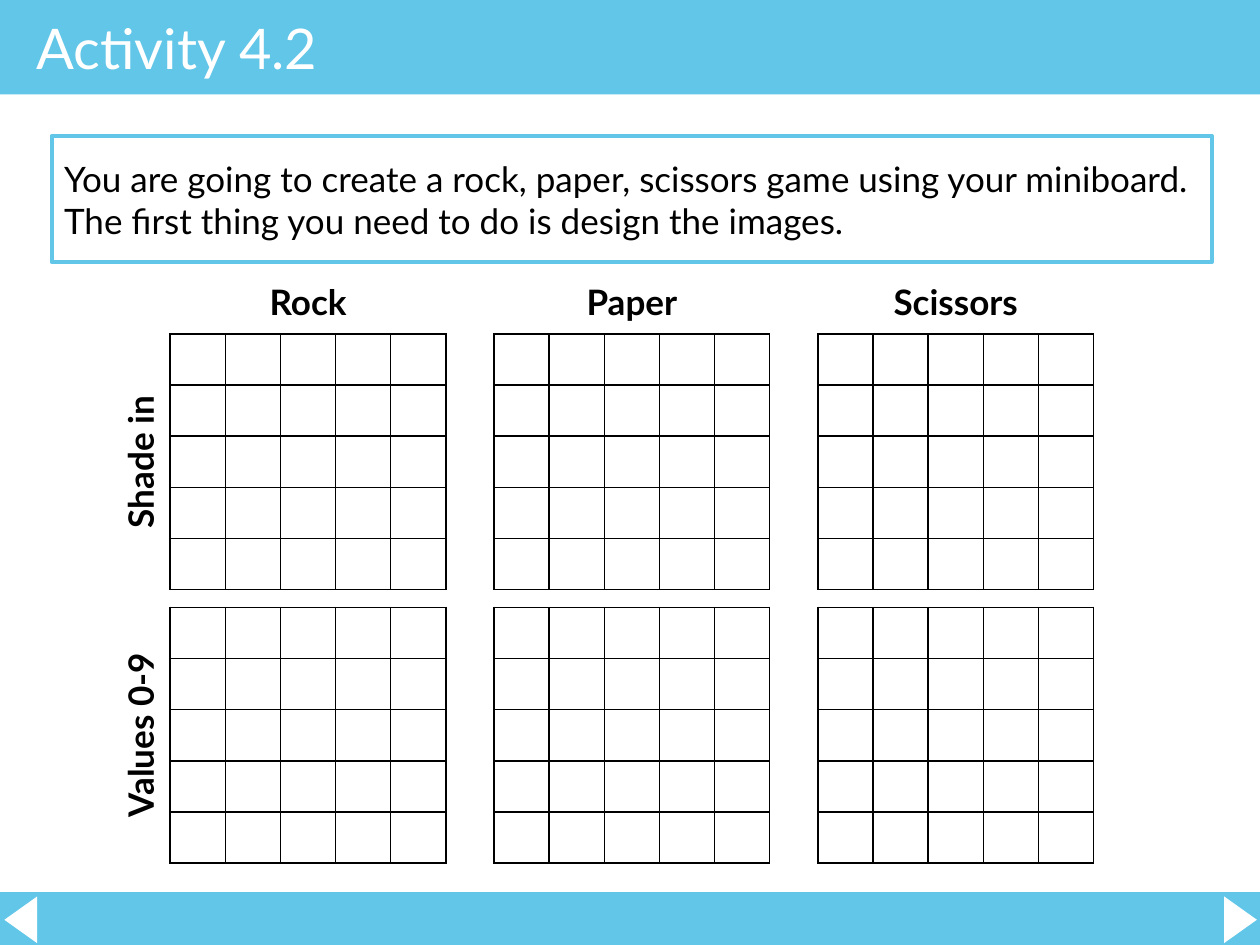
from lxml import etree
from pptx import Presentation
from pptx.dml.color import RGBColor
from pptx.enum.shapes import MSO_SHAPE
from pptx.enum.text import MSO_ANCHOR, PP_ALIGN
from pptx.oxml.ns import qn
from pptx.util import Inches, Pt

RECTANGLE, TRIANGLE = MSO_SHAPE.RECTANGLE, MSO_SHAPE.ISOSCELES_TRIANGLE
MIDDLE = MSO_ANCHOR.MIDDLE
LEFT, CENTER = PP_ALIGN.LEFT, PP_ALIGN.CENTER
BLUE = RGBColor(0x62, 0xC6, 0xE8)
WHITE = RGBColor(0xFF, 0xFF, 0xFF)
BLACK = RGBColor(0, 0, 0)
FONT = "Lato"

# Content
TITLE = "Activity 4.2"
TASK = ("You are going to create a rock, paper, scissors game using your "
        "miniboard. The first thing you need to do is design the images.")
IMAGES = ["Rock", "Paper", "Scissors"]
STEPS = ["Shade in", "Values 0-9"]

# Layout, in inches
GRID_SIZE = 5
GRID_LEFT, GRID_TOP = 1.35, 2.65
GRID_WIDTH, GRID_HEIGHT = 2.19, 2.03
COLUMN_PITCH, ROW_PITCH = 2.57, 2.17
HEADING_TOP, LABEL_HEIGHT = 2.16, 0.46
STEP_CENTER = 1.11


def write(shape, text, size, color=BLACK, bold=False, align=LEFT):
    frame = shape.text_frame
    frame.word_wrap = True
    frame.vertical_anchor = MIDDLE
    frame.text = text
    paragraph = frame.paragraphs[0]
    paragraph.alignment = align
    font = paragraph.runs[0].font
    font.name, font.size, font.bold = FONT, Pt(size), bold
    font.color.rgb = color


def add_block(slide, kind, box, fill=None, rotation=0):
    block = slide.shapes.add_shape(kind, *map(Inches, box))
    block.shadow.inherit = False
    block.rotation = rotation
    block.line.fill.background()
    if fill is None:
        block.fill.background()
    else:
        block.fill.solid()
        block.fill.fore_color.rgb = fill
    return block


def add_label(slide, text, box, rotation=0):
    label = slide.shapes.add_textbox(*map(Inches, box))
    label.rotation = rotation
    write(label, text, 20, bold=True, align=CENTER)


def add_borders(cell):
    properties = cell._tc.get_or_add_tcPr()
    for side in ("a:lnL", "a:lnR", "a:lnT", "a:lnB"):
        line = etree.SubElement(properties, qn(side), w=str(Pt(1)))
        fill = etree.SubElement(line, qn("a:solidFill"))
        etree.SubElement(fill, qn("a:srgbClr"), val=str(BLACK))


def add_grid(slide, left, top):
    table = slide.shapes.add_table(
        GRID_SIZE, GRID_SIZE, Inches(left), Inches(top),
        Inches(GRID_WIDTH), Inches(GRID_HEIGHT)).table
    table.first_row = table.horz_banding = False
    for cell in table.iter_cells():
        add_borders(cell)
        cell.fill.background()
        cell.text_frame.paragraphs[0].font.size = Pt(16)


def main():
    prs = Presentation()
    prs.slide_width, prs.slide_height = Inches(10), Inches(7.5)
    slide = prs.slides.add_slide(prs.slide_layouts[5])

    # Bands and navigation arrows
    add_block(slide, RECTANGLE, (0, 0, 10, 0.75), BLUE)
    add_block(slide, RECTANGLE, (0, 7.08, 10, 0.43), BLUE)
    add_block(slide, TRIANGLE, (9.66, 7.17, 0.37, 0.26), WHITE, 90)
    add_block(slide, TRIANGLE, (-0.02, 7.17, 0.37, 0.26), WHITE, 270)

    # Title, brought in front of its band
    title = slide.shapes.title
    title.left, title.top = Inches(0.19), Inches(0)
    title.width, title.height = Inches(9), Inches(0.75)
    slide.shapes._spTree.append(title._element)
    write(title, TITLE, 32, WHITE)

    # Task box
    task = add_block(slide, RECTANGLE, (0.41, 1.08, 9.21, 1))
    task.line.color.rgb = BLUE
    task.line.width = Pt(2.25)
    write(task, TASK, 20)

    # Headings and grids
    for column, image in enumerate(IMAGES):
        left = GRID_LEFT + column * COLUMN_PITCH
        add_label(slide, image, (left, HEADING_TOP, GRID_WIDTH, LABEL_HEIGHT))
        for row in range(len(STEPS)):
            add_grid(slide, left, GRID_TOP + row * ROW_PITCH)

    # Step labels, turned to read upwards beside their grids
    for row, step in enumerate(STEPS):
        middle = GRID_TOP + row * ROW_PITCH + GRID_HEIGHT / 2
        add_label(slide, step, (STEP_CENTER - GRID_HEIGHT / 2,
                                middle - LABEL_HEIGHT / 2,
                                GRID_HEIGHT, LABEL_HEIGHT), 270)

    prs.save("out.pptx")


if __name__ == "__main__":
    main()
